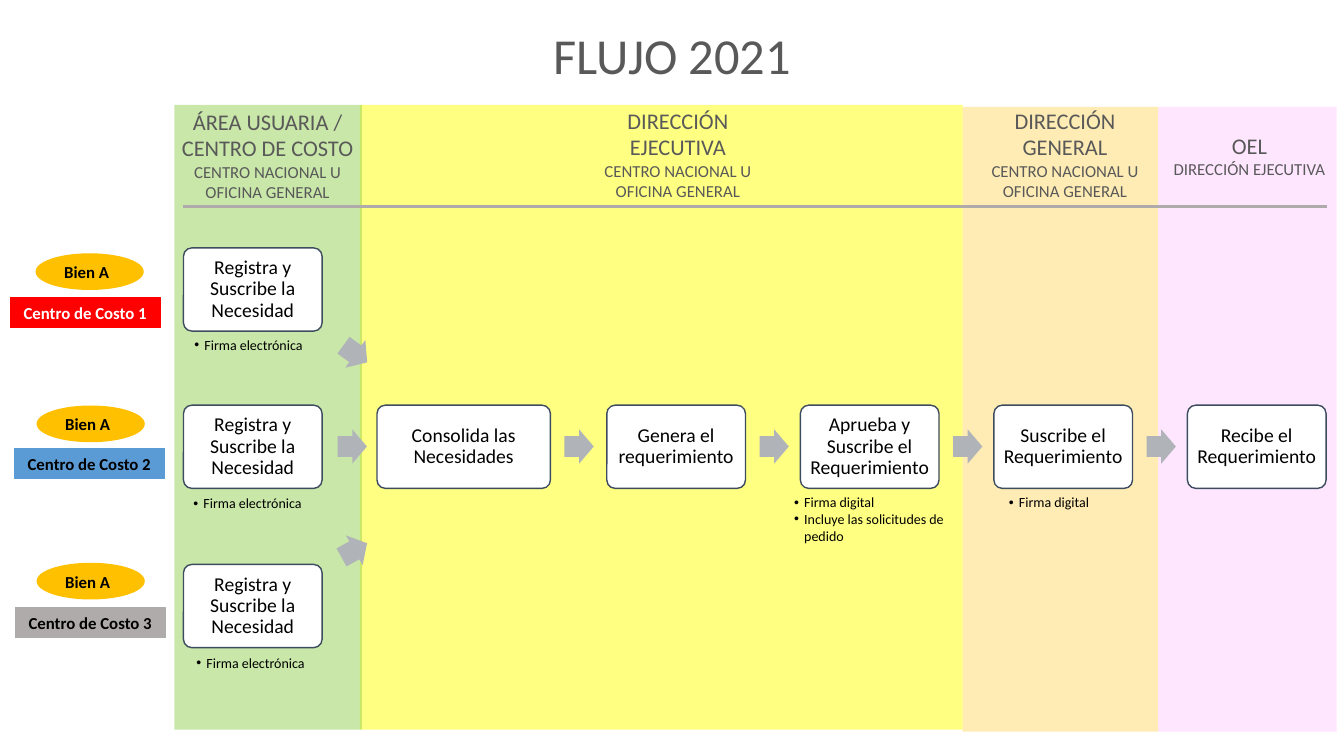
from lxml import etree
from pptx import Presentation
from pptx.dml.color import RGBColor
from pptx.enum.shapes import MSO_CONNECTOR, MSO_SHAPE
from pptx.enum.text import MSO_ANCHOR, MSO_AUTO_SIZE, PP_ALIGN
from pptx.oxml.ns import qn
from pptx.util import Inches, Pt

RECT = MSO_SHAPE.RECTANGLE
ROUND = MSO_SHAPE.ROUNDED_RECTANGLE
OVAL = MSO_SHAPE.OVAL
ARROW = MSO_SHAPE.RIGHT_ARROW
STRAIGHT = MSO_CONNECTOR.STRAIGHT
TOP, MIDDLE = MSO_ANCHOR.TOP, MSO_ANCHOR.MIDDLE
CENTER, LEFT = PP_ALIGN.CENTER, PP_ALIGN.LEFT
FIXED = MSO_AUTO_SIZE.NONE

BLACK, WHITE, SLATE, GRAY = "000000", "FFFFFF", "595959", "AFABAB"
UNIT = Inches(0.1)
COLS, ROWS = 133.33, 75

STEP_W, STEP_H, STEP_Y = 13.75, 8.25, 40.2
PITCH = 19.2
ROW_Y = (24.6, 40.2, 56)

BANDS = [
    (114.9, 10.6, 17.7, "FFCCFF"),
    (95.5, 10.6, 19.4, "FFD966"),
    (35.7, 10.4, 59.8, "FFFF00"),
    (17.3, 10.4, 18.6, "92D050"),
]
UNITS = "CENTRO NACIONAL U OFICINA GENERAL"
HEADS = [
    (16.2, 10.2, 20.7, ["ÁREA USUARIA /", "CENTRO DE COSTO", UNITS]),
    (57.5, 10.1, 19.5, ["DIRECCIÓN", "EJECUTIVA", UNITS]),
    (95.9, 10.1, 19.5, ["DIRECCIÓN", "GENERAL", UNITS]),
    (114.2, 12.6, 19.5, ["OEL", "DIRECCIÓN EJECUTIVA"]),
]
STEPS = [
    (37.4, 17.2, "Consolida las Necesidades"),
    (60.2, STEP_W, "Genera el requerimiento"),
    (60.2 + PITCH, STEP_W, "Aprueba y Suscribe el Requerimiento"),
    (60.2 + 2 * PITCH, STEP_W, "Suscribe el Requerimiento"),
    (60.2 + 3 * PITCH, STEP_W, "Recibe el Requerimiento"),
]
TURNS = [(33.8, 33.4, 35.9), (33.5, 42.6, 0), (33.7, 52.9, -29.1)]
COSTS = [
    (1, 29.5, "FF0000", WHITE),
    (1.4, 44.5, "5B9BD5", BLACK),
    (1.5, 60.3, GRAY, BLACK),
]
GOODS = [(3.6, 25.2), (3.7, 40.3), (3.7, 55.9)]
SIGN = "Firma electrónica"
NOTES = [
    (18.3, 32.9, 13.3, [SIGN]),
    (18.2, 48.6, 13.3, [SIGN]),
    (18.5, 64.4, 13.3, [SIGN]),
    (77.8, 48.5, 20.8, ["Firma digital", "Incluye las solicitudes de pedido"]),
    (99.1, 48.5, 11.8, ["Firma digital"]),
]


def tint(code):
    """Turn a hex string into a colour."""
    return RGBColor.from_string(code)


def grid(*cells):
    """Turn counts of grid cells into lengths."""
    return [round(cell * UNIT) for cell in cells]


class Board:
    """Hold the style and the current slide."""

    def __init__(self, deck, font="Calibri"):
        """Add a title-only slide to the deck."""
        self.font = font
        self.slide = deck.slides.add_slide(deck.slide_layouts[5])
        self.items = self.slide.shapes

    def letter(self, shape, lines, sizes, color=BLACK, bold=False,
               align=CENTER, anchor=TOP, space=1.0):
        """Put styled lines of text in a shape."""
        frame = shape.text_frame
        frame.text = "\n".join(lines)
        frame.word_wrap = True
        frame.auto_size = FIXED
        frame.vertical_anchor = anchor
        for para, size in zip(frame.paragraphs, sizes):
            para.alignment = align
            para.line_spacing = space
            for run in para.runs:
                run.font.name = self.font
                run.font.size = Pt(size)
                run.font.bold = bold
                run.font.color.rgb = tint(color)
        return frame

    def title(self, text, *place):
        """Move and fill the title."""
        head = self.items.title
        head.left, head.top, head.width, head.height = grid(*place)
        self.letter(head, [text], [36], SLATE)

    def shape(self, kind, place, fill, line=None, width=1, alpha=None):
        """Add a filled preset shape."""
        item = self.items.add_shape(kind, *grid(*place))
        item.shadow.inherit = False
        item.fill.solid()
        item.fill.fore_color.rgb = tint(fill)
        if line:
            item.line.color.rgb = tint(line)
            item.line.width = Pt(width)
        else:
            item.line.fill.background()
        if alpha:
            color = item._element.spPr.find(".//" + qn("a:srgbClr"))
            etree.SubElement(color, qn("a:alpha"), val=str(alpha * 1000))
        return item

    def label(self, place, lines, sizes, **style):
        """Add a text box."""
        box = self.items.add_textbox(*grid(*place))
        return self.letter(box, lines, sizes, **style)

    def step(self, left, top, width, text):
        """Add a rounded step of the flow."""
        item = self.shape(ROUND, (left, top, width, STEP_H), WHITE, "3E4C60")
        item.adjustments[0] = 0.1
        frame = self.letter(item, [text], [14], anchor=MIDDLE, space=0.9)
        frame.margin_left = frame.margin_right = Inches(0.06)
        frame.margin_top = frame.margin_bottom = Inches(0.06)

    def arrow(self, left, top, turn=0):
        """Add a block arrow, turned by some degrees."""
        item = self.shape(ARROW, (left, top, 2.9, 3.4), "B0B4B9")
        item.adjustments[0] = 0.6
        item.rotation = turn

    def notes(self, left, top, width, lines):
        """Add a short bulleted list."""
        place = (left, top, width, 1 + 1.7 * len(lines))
        frame = self.label(place, lines, [10] * len(lines), align=LEFT)
        for para in frame.paragraphs:
            props = para._p.get_or_add_pPr()
            props.set("marL", str(UNIT))
            props.set("indent", str(-UNIT))
            etree.SubElement(props, qn("a:buFont"), typeface="Arial")
            etree.SubElement(props, qn("a:buChar"), char="•")

    def rule(self, left, right, top):
        """Add a level line."""
        line = self.items.add_connector(STRAIGHT, *grid(left, top, right, top))
        line.line.color.rgb = tint(GRAY)
        line.line.width = Pt(2.25)
        etree.SubElement(line._element.spPr, qn("a:effectLst"))


def main():
    """Build the flow slide."""
    deck = Presentation()
    deck.slide_width, deck.slide_height = grid(COLS, ROWS)
    board = Board(deck)
    board.title("FLUJO 2021", 53.8, 1.9, 25.8, 7.1)
    for left, top, width, fill in BANDS:
        board.shape(RECT, (left, top, width, 62), fill, alpha=49)
    for top in ROW_Y:
        board.step(18.2, top, STEP_W, "Registra y Suscribe la Necesidad")
    for turn in TURNS:
        board.arrow(*turn)
    for left, width, text in STEPS:
        board.step(left, STEP_Y, width, text)
    for left, width, _ in STEPS[:-1]:
        board.arrow(left + width + 1.4, 42.6)
    for left, top, width, lines in HEADS:
        sizes = [16] * (len(lines) - 1) + [12]
        board.label((left, top, width, 10.4), lines, sizes, color=SLATE)
    for note in NOTES:
        board.notes(*note)
    board.rule(18.2, 131.6, 20.5)
    for count, (left, top, fill, color) in enumerate(COSTS, 1):
        cost = board.shape(RECT, (left, top, 14.9, 3), fill, fill, 0.75)
        board.letter(cost, [f"Centro de Costo {count}"], [12], color, True)
    for left, top in GOODS:
        board.shape(OVAL, (left, top, 10.6, 3.5), "FFC000", "FFC000")
        board.label((left - 2.3, top + 0.3, 14.6, 3), ["Bien A"], [12], bold=True)
    deck.save("out.pptx")


if __name__ == "__main__":
    main()
